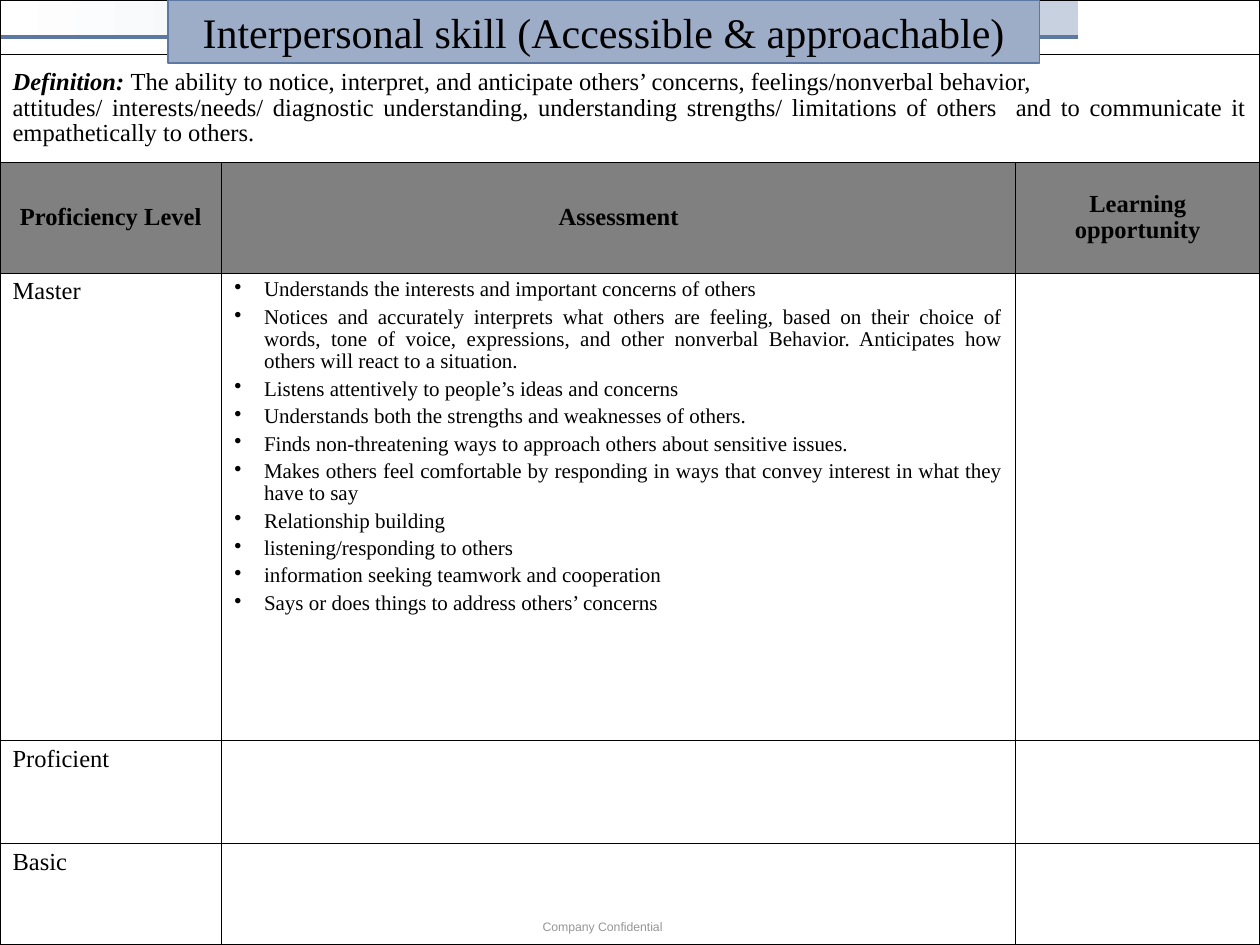
"""Build the competency slide on interpersonal skill."""
import dataclasses

import lxml.etree
import pptx
import pptx.dml.color
import pptx.enum.shapes
import pptx.enum.text
import pptx.oxml.ns
import pptx.util

Pt = pptx.util.Pt
qn = pptx.oxml.ns.qn
ALIGN = pptx.enum.text.PP_ALIGN
ANCHOR = pptx.enum.text.MSO_ANCHOR


def rgb(value):
    return pptx.dml.color.RGBColor.from_string(value)


@dataclasses.dataclass(frozen=True)
class Theme:
    serif: str = "Times New Roman"
    sans: str = "Arial"
    ink: str = "000000"
    muted: str = "969696"
    accent: str = "5D78A3"
    banner: str = "9DADC7"
    fade_start: str = "FFFFFF"
    fade_end: str = "C8D1E0"
    header: str = "808080"
    title_size: float = 24
    body_size: float = 14
    bullet_size: float = 12
    footer_size: float = 7
    outer_border: float = 1.08
    inner_border: float = 0.45


@dataclasses.dataclass
class Builder:
    theme: Theme
    slide: object

    def run(self, paragraph, text, size, font=None, color=None, bold=False, italic=False):
        run = paragraph.add_run()
        run.text = text
        run.font.name = font or self.theme.serif
        run.font.size = Pt(size)
        run.font.color.rgb = rgb(color or self.theme.ink)
        run.font.bold, run.font.italic = bold, italic

    def fade(self, left, top, width, height):
        strip = self.slide.shapes.add_shape(
            pptx.enum.shapes.MSO_SHAPE.RECTANGLE, Pt(left), Pt(top), Pt(width), Pt(height))
        strip.shadow.inherit = False
        strip.line.fill.background()
        strip.fill.gradient()
        strip.fill.gradient_angle = 0
        colors = self.theme.fade_start, self.theme.fade_end
        for position, (stop, color) in enumerate(zip(strip.fill.gradient_stops, colors)):
            stop.position = position
            stop.color.rgb = rgb(color)

    def rule(self, start, end, y, width):
        rule = self.slide.shapes.add_connector(
            pptx.enum.shapes.MSO_CONNECTOR.STRAIGHT, Pt(start), Pt(y), Pt(end), Pt(y))
        rule.line.color.rgb = rgb(self.theme.accent)
        rule.line.width = Pt(width)
        lxml.etree.SubElement(rule.element.spPr, qn("a:effectLst"))

    def footer(self, text, left, top, width, height):
        frame = self.slide.shapes.add_textbox(Pt(left), Pt(top), Pt(width), Pt(height)).text_frame
        frame.word_wrap = False
        self.run(frame.paragraphs[0], text, self.theme.footer_size,
                 self.theme.sans, self.theme.muted)

    def title(self, text, left, top, width, height):
        title = self.slide.shapes.title
        title.left, title.top, title.width, title.height = map(Pt, (left, top, width, height))
        title.fill.solid()
        title.fill.fore_color.rgb = rgb(self.theme.banner)
        title.line.color.rgb = rgb(self.theme.accent)
        title.line.width = Pt(1)
        frame = title.text_frame
        frame.auto_size = pptx.enum.text.MSO_AUTO_SIZE.NONE
        frame.word_wrap = False
        frame.vertical_anchor = ANCHOR.MIDDLE
        frame.margin_left = frame.margin_right = frame.margin_top = frame.margin_bottom = 0
        frame.paragraphs[0].alignment = ALIGN.CENTER
        self.run(frame.paragraphs[0], text, self.theme.title_size)
        self.slide.shapes.element.append(title.element)

    def table(self, widths, heights, merged_rows):
        shape = self.slide.shapes.add_table(
            len(heights), len(widths), 0, 0, Pt(sum(widths)), Pt(sum(heights)))
        table = shape.table
        table.first_row = table.horz_banding = False
        for column, width in zip(table.columns, widths):
            column.width = Pt(width)
        for row, height in zip(table.rows, heights):
            row.height = Pt(height)
        last_row, last_column = len(heights) - 1, len(widths) - 1
        for r in range(len(heights)):
            merged = r < merged_rows
            for c in range(len(widths)):
                cell = table.cell(r, c)
                self.borders(cell, {"lnL": merged or c == 0,
                                    "lnR": merged or c == last_column,
                                    "lnT": r == 0, "lnB": r == last_row})
                cell.fill.background()
            if merged:
                table.cell(r, 0).merge(table.cell(r, last_column))
        return table

    def borders(self, cell, edges):
        properties = cell._tc.get_or_add_tcPr()
        for edge, is_outer in edges.items():
            width = self.theme.outer_border if is_outer else self.theme.inner_border
            border = lxml.etree.SubElement(properties, qn(f"a:{edge}"), w=str(int(Pt(width))))
            fill = lxml.etree.SubElement(border, qn("a:solidFill"))
            lxml.etree.SubElement(fill, qn("a:srgbClr"), val=self.theme.ink)

    def paragraph(self, cell, index, alignment):
        frame = cell.text_frame
        paragraph = frame.add_paragraph() if index else frame.paragraphs[0]
        paragraph.alignment = alignment
        paragraph.line_spacing = 0.95
        return paragraph

    def header(self, cell, text):
        cell.fill.solid()
        cell.fill.fore_color.rgb = rgb(self.theme.header)
        cell.vertical_anchor = ANCHOR.MIDDLE
        self.run(self.paragraph(cell, 0, ALIGN.CENTER), text, self.theme.body_size, bold=True)

    def level(self, cell, text):
        self.run(self.paragraph(cell, 0, ALIGN.LEFT), text, self.theme.body_size)

    def definition(self, cell, term, lines):
        cell.vertical_anchor = ANCHOR.MIDDLE
        for index, line in enumerate(lines):
            paragraph = self.paragraph(cell, index, ALIGN.JUSTIFY)
            if index == 0:
                self.run(paragraph, term, self.theme.body_size, bold=True, italic=True)
            self.run(paragraph, line, self.theme.body_size)

    def bullets(self, cell, items, indent):
        for index, item in enumerate(items):
            paragraph = self.paragraph(cell, index, ALIGN.JUSTIFY)
            paragraph.space_after = Pt(3)
            properties = paragraph._p.get_or_add_pPr()
            properties.set("marL", str(int(Pt(indent))))
            properties.set("indent", str(int(Pt(-indent))))
            color = lxml.etree.SubElement(properties, qn("a:buClr"))
            lxml.etree.SubElement(color, qn("a:srgbClr"), val=self.theme.ink)
            lxml.etree.SubElement(properties, qn("a:buChar"), char="•")
            self.run(paragraph, item, self.theme.bullet_size)


DEFINITION = (
    "The ability to notice, interpret, and anticipate others’ concerns, feelings/nonverbal behavior,",
    "attitudes/ interests/needs/ diagnostic understanding, understanding strengths/ limitations "
    "of others  and to communicate it empathetically to others.",
)
HEADINGS = "Proficiency Level", "Assessment", "Learning opportunity"
LEVELS = "Master", "Proficient", "Basic"
MASTER_SKILLS = (
    "Understands the interests and important concerns of others",
    "Notices and accurately interprets what others are feeling, based on their choice of words, "
    "tone of voice, expressions, and other nonverbal Behavior. Anticipates how others will react "
    "to a situation.",
    "Listens attentively to people’s ideas and concerns",
    "Understands both the strengths and weaknesses of others.",
    "Finds non-threatening ways to approach others about sensitive issues.",
    "Makes others feel comfortable by responding in ways that convey interest in what they "
    "have to say",
    "Relationship building",
    "listening/responding to others",
    "information seeking teamwork and cooperation",
    "Says or does things to address others’ concerns",
)


def main():
    deck = pptx.Presentation()
    deck.slide_width, deck.slide_height = Pt(720), Pt(540)
    builder = Builder(Theme(), deck.slides.add_slide(deck.slide_layouts[5]))
    builder.fade(0, 0, 616, 21.5)
    builder.rule(-2, 616, 21, 2.25)
    builder.footer("Company Confidential", 303, 522, 112, 16)
    matrix = builder.table((126.7, 453.6, 139.7), (31, 62, 63, 267, 59, 58), merged_rows=2)
    builder.definition(matrix.cell(1, 0), "Definition: ", DEFINITION)
    for column, heading in enumerate(HEADINGS):
        builder.header(matrix.cell(2, column), heading)
    for row, level in enumerate(LEVELS, start=3):
        builder.level(matrix.cell(row, 0), level)
    builder.bullets(matrix.cell(3, 1), MASTER_SKILLS, indent=17)
    builder.title("Interpersonal skill (Accessible & approachable)", 96, 0, 498, 36)
    deck.save("out.pptx")


if __name__ == "__main__":
    main()
